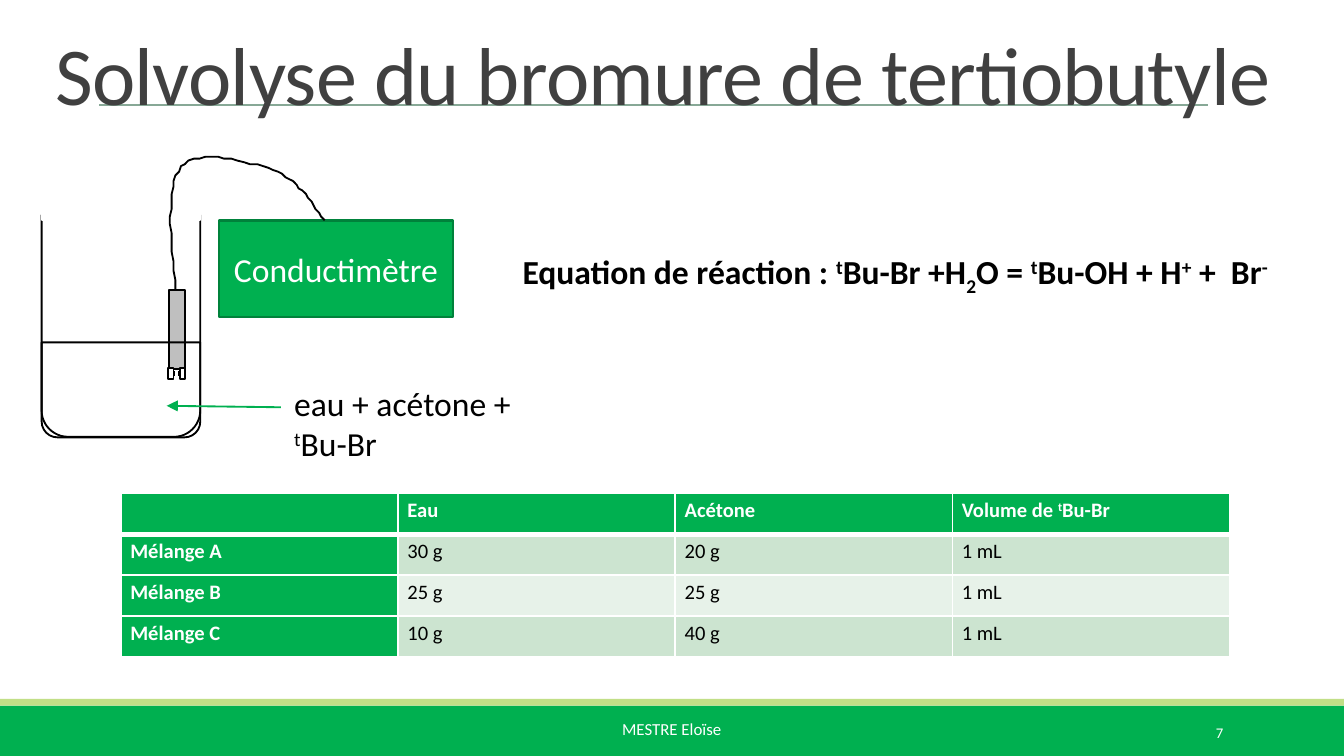
from lxml import etree
from pptx import Presentation
from pptx import util as u
from pptx.dml.color import RGBColor
from pptx.enum import shapes, text
from pptx.oxml import ns

Pt = u.Pt
HUES = {
    "green": "00B050", "edge": "00823B", "lime": "C1DF87", "rule": "87A896",
    "black": "000000", "white": "FFFFFF", "grey": "BFBFBF", "title": "404040",
    "dark": "CCE4D0", "pale": "E7F2E9",
}
RECT = shapes.MSO_SHAPE.RECTANGLE
VAT = shapes.MSO_SHAPE.ROUND_2_SAME_RECTANGLE
LEFT, MID, RIGHT = text.PP_ALIGN.LEFT, text.PP_ALIGN.CENTER, text.PP_ALIGN.RIGHT


def rgb(hue):
    return RGBColor.from_string(HUES[hue])


def add(node, tag, **attrs):
    return etree.SubElement(node, ns.qn(tag), attrs)


class Deck:
    font = "Calibri"

    def __init__(self, wide, high):
        self.prs = Presentation()
        self.prs.slide_width, self.prs.slide_height = Pt(wide), Pt(high)
        self.slide = self.prs.slides.add_slide(self.prs.slide_layouts[5])
        self.items = self.slide.shapes

    def label(self, frame, runs, size, hue, bold=False, align=LEFT):
        """Each run is plain text or a pair of text and baseline shift."""
        par = frame.paragraphs[0]
        par.alignment = align
        for part in runs:
            words, shift = (part, 0) if isinstance(part, str) else part
            run = par.add_run()
            run.text = words
            font = run.font
            font.name, font.size, font.bold = self.font, Pt(size), bold
            font.color.rgb = rgb(hue)
            if shift:
                font._element.set("baseline", str(shift * 1000))
        return par

    def paint(self, item, fill=None, line=None, width=1):
        item.shadow.inherit = False
        if fill:
            item.fill.solid()
            item.fill.fore_color.rgb = rgb(fill)
        else:
            item.fill.background()
        if line:
            item.line.color.rgb, item.line.width = rgb(line), Pt(width)
        else:
            item.line.fill.background()

    def title(self, box, words):
        item = self.items.title
        self.items._spTree.append(item._element)  # in front of the rule
        item.left, item.top, item.width, item.height = map(Pt, box)
        frame = item.text_frame
        frame.auto_size = text.MSO_AUTO_SIZE.NONE
        frame.vertical_anchor = text.MSO_ANCHOR.BOTTOM
        par = self.label(frame, [words], 44, "title")
        par.line_spacing = 0.85
        par.runs[0].font._element.set("spc", "-40")

    def shape(self, kind, box, fill=None, line=None, width=1, turn=0):
        item = self.items.add_shape(kind, *map(Pt, box))
        self.paint(item, fill, line, width)
        item.rotation = turn
        return item

    def line(self, start, end, hue, arrow=False):
        item = self.items.add_connector(
            shapes.MSO_CONNECTOR.STRAIGHT, *map(Pt, start + end))
        item.line.color.rgb, item.line.width = rgb(hue), Pt(1)
        props = item._element.spPr
        if arrow:
            add(props.find(ns.qn("a:ln")), "a:tailEnd", type="triangle")
        add(props, "a:effectLst")

    def curve(self, start, bends, steps=16):
        """Draw chained cubic curves as short segments."""
        dots, last = [], start
        for one, two, end in bends:
            for step in range(1, steps + 1):
                t = step / steps
                s = 1 - t
                dots.append(tuple(
                    s**3 * a + 3 * s * s * t * b + 3 * s * t * t * c + t**3 * d
                    for a, b, c, d in zip(last, one, two, end)))
            last = end
        pen = self.items.build_freeform(*start, scale=Pt(1))
        pen.add_line_segments(dots, close=False)
        self.paint(pen.convert_to_shape(), line="black")

    def text(self, box, runs, size, hue="black", bold=False, align=LEFT,
             wrap=True, anchor=text.MSO_ANCHOR.TOP):
        frame = self.items.add_textbox(*map(Pt, box)).text_frame
        frame.word_wrap, frame.vertical_anchor = wrap, anchor
        self.label(frame, runs, size, hue, bold, align)

    def table(self, box, rows):
        grid = self.items.add_table(len(rows), len(rows[0]), *map(Pt, box)).table
        for r, row in enumerate(rows):
            for c, runs in enumerate(row):
                head = r == 0 or c == 0
                cell = grid.cell(r, c)
                cell.margin_left = cell.margin_right = Pt(5)
                cell.margin_top = cell.margin_bottom = Pt(2.6)
                if runs:
                    self.label(cell.text_frame, runs, 11,
                               "white" if head else "black", head)
                else:
                    cell.text_frame.paragraphs[0].font.size = Pt(11)
                self.edge(cell, top=3 if r == 1 else 1, bottom=3 if r == 0 else 1)
                cell.fill.solid()
                cell.fill.fore_color.rgb = rgb(
                    "green" if head else "dark" if r % 2 else "pale")

    def edge(self, cell, top, bottom):
        props = cell._tc.get_or_add_tcPr()
        for side, width in zip("LRTB", (1, 1, top, bottom)):
            rim = add(props, f"a:ln{side}", w=str(Pt(width)))
            add(add(rim, "a:solidFill"), "a:srgbClr", val=HUES["white"])


def main():
    deck = Deck(720, 405)

    # Footer band, title rule and title
    deck.shape(RECT, (0, 378, 720, 27), "green")
    deck.shape(RECT, (0, 374.4, 720, 3.6), "lime")
    deck.line((53.3, 56.2), (647.3, 56.2), "rule")
    deck.text((326.2, 381.6, 67.7, 32.4), ["MESTRE Eloïse"], 9, "white", wrap=False)
    deck.text((584.6, 381.6, 77.8, 21.6), ["7"], 7.9, "white", align=RIGHT,
              anchor=text.MSO_ANCHOR.MIDDLE)
    deck.title((22.3, 14.4, 739.4, 54.7), "Solvolyse du bromure de tertiobutyle")

    # Probe with its two mirrored tips
    deck.shape(RECT, (90.4, 155.2, 8.6, 42.5), "grey", "black")
    for tip, pin in ((90.2, 93.4), (96.4, 95.9)):
        deck.shape(RECT, (tip, 197.4, 2.8, 5.6), "white", "black")
        deck.line((pin, 198.7), (pin, 201.6), "black")

    # Beaker, liquid and open rim
    for top, high in ((115.2, 118.8), (183.4, 50.9)):
        deck.shape(VAT, (22.3, top, 85, high), line="black", turn=180)
    deck.shape(RECT, (22.3, 111.6, 85, 6.5), "white", "white")

    # Meter and cable
    meter = deck.shape(RECT, (117.4, 118.1, 125.3, 51.8), "green", "edge", 1.25)
    frame = meter.text_frame
    frame.margin_left = frame.margin_right = Pt(5)
    frame.vertical_anchor = text.MSO_ANCHOR.MIDDLE
    deck.label(frame, ["Conductimètre"], 18, "white", align=MID)
    deck.curve((173.5, 118.1), [
        ((166.3, 107.3), (159.1, 95.8), (146.2, 91.4)),
        ((133.2, 86.4), (105.8, 79.2), (97.2, 89.3)),
        ((88.6, 100.1), (91.4, 127.4), (94.3, 154.8)),
    ])

    # Mixture label and reaction
    bromide = [("t", 30), "Bu-Br"]
    deck.line((150.5, 218.2), (89.3, 217.4), "green", arrow=True)
    deck.text((150.5, 201.6, 159.8, 24.5), ["eau + acétone + ", *bromide], 18)
    deck.text((272.9, 131, 623.5, 24.5), [
        "Equation de réaction : ", *bromide, " +H", ("2", -25), "O = ",
        ("t", 30), "Bu-OH + H", ("+", 30), " +  Br", ("-", 30)], 18, bold=True)

    # Table of mixtures
    rows = [[[], ["Eau"], ["Acétone"], ["Volume de ", *bromide]]]
    for name, water, solvent in (("A", 30, 20), ("B", 25, 25), ("C", 10, 40)):
        rows.append([[f"Mélange {name}"], [f"{water} g"], [f"{solvent} g"], ["1 mL"]])
    deck.table((64.8, 264.2, 594, 87.8), rows)

    deck.prs.save("out.pptx")


if __name__ == "__main__":
    main()
